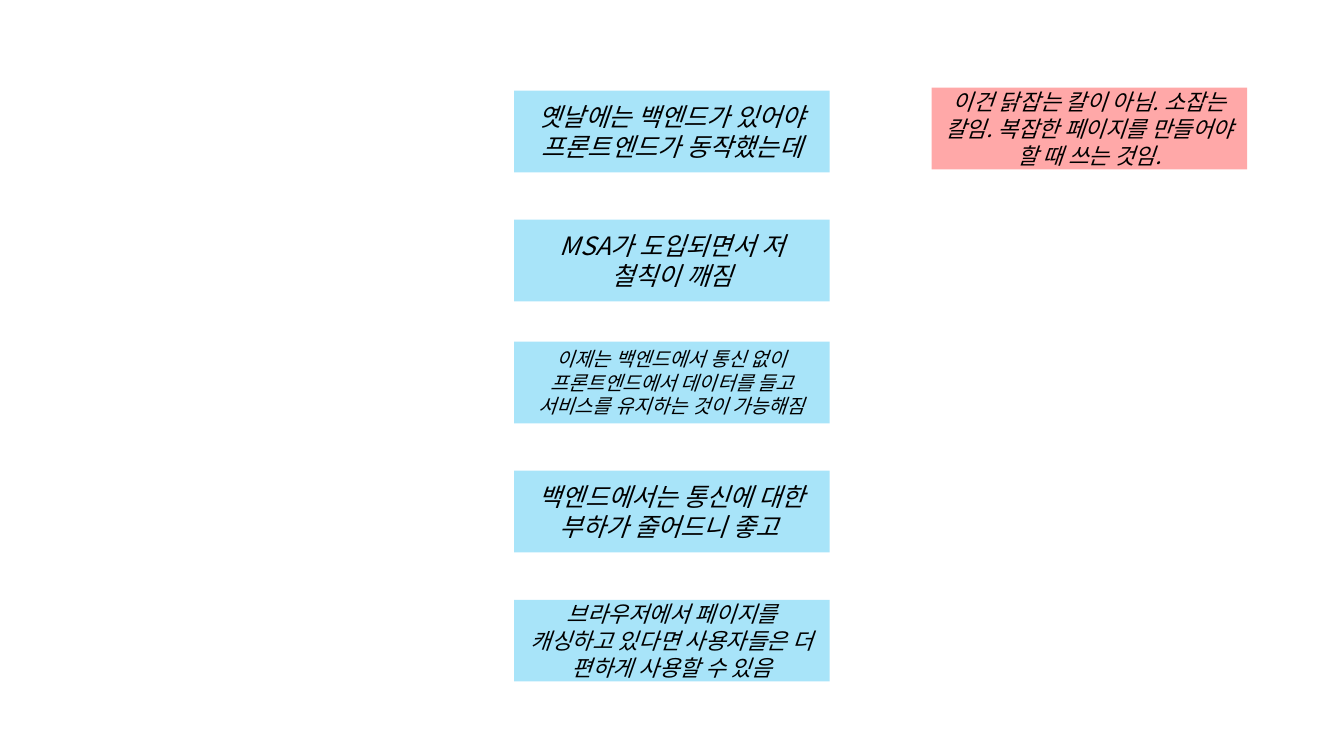
from dataclasses import dataclass

from lxml.etree import SubElement
from pptx import Presentation
from pptx.dml.color import RGBColor
from pptx.enum.shapes import MSO_SHAPE
from pptx.enum.text import MSO_ANCHOR, PP_ALIGN
from pptx.oxml.ns import qn
from pptx.slide import Slide
from pptx.util import Inches, Pt

BLUE = RGBColor(0x00, 0xB0, 0xF0)
RED = RGBColor(0xFF, 0x00, 0x00)
BLACK = RGBColor(0x00, 0x00, 0x00)
FONT_NAME = "Noto Sans CJK KR"
CARD_WIDTH = Inches(3.13)
CARD_HEIGHT = Inches(0.81)
STORY_LEFT = 5.1
CAUTION_LEFT = 9.24
OPACITY_PERCENT = 34


@dataclass(frozen=True)
class Card:
    top: float
    message: str
    size: int = 18
    left: float = STORY_LEFT
    color: RGBColor = BLUE


CARDS = [
    Card(0.9, "옛날에는 백엔드가 있어야 프론트엔드가 동작했는데"),
    Card(2.18, "MSA가 도입되면서 저 철칙이 깨짐"),
    Card(
        3.39,
        "이제는 백엔드에서 통신 없이 프론트엔드에서 데이터를 들고 "
        "서비스를 유지하는 것이 가능해짐",
        size=14,
    ),
    Card(4.67, "백엔드에서는 통신에 대한 부하가 줄어드니 좋고 "),
    Card(
        5.95,
        "브라우저에서 페이지를 캐싱하고 있다면 사용자들은 더 편하게 사용할 수 있음",
        size=16,
    ),
    Card(
        0.87,
        "이건 닭잡는 칼이 아님. 소잡는 칼임. 복잡한 페이지를 만들어야 할 때 쓰는 것임.",
        size=16,
        left=CAUTION_LEFT,
        color=RED,
    ),
]


def draw_card(slide: Slide, card: Card) -> None:
    box = slide.shapes.add_shape(
        MSO_SHAPE.RECTANGLE,
        Inches(card.left),
        Inches(card.top),
        CARD_WIDTH,
        CARD_HEIGHT,
    )
    box.shadow.inherit = False
    box.line.fill.background()
    box.fill.solid()
    box.fill.fore_color.rgb = card.color
    tint = box._element.spPr.find(qn("a:solidFill"))[0]
    SubElement(tint, qn("a:alpha"), val=str(OPACITY_PERCENT * 1000))

    frame = box.text_frame
    frame.word_wrap = True
    frame.vertical_anchor = MSO_ANCHOR.MIDDLE
    paragraph = frame.paragraphs[0]
    paragraph.alignment = PP_ALIGN.CENTER
    message = paragraph.add_run()
    message.text = card.message
    text_format = {"name": FONT_NAME, "size": Pt(card.size), "italic": True}
    for attribute, value in text_format.items():
        setattr(message.font, attribute, value)
    message.font.color.rgb = BLACK
    SubElement(message._r.get_or_add_rPr(), qn("a:ea"), typeface=FONT_NAME)


def main() -> None:
    presentation = Presentation()
    presentation.slide_width = Inches(13.33)
    presentation.slide_height = Inches(7.5)
    slide = presentation.slides.add_slide(presentation.slide_layouts[6])
    for card in CARDS:
        draw_card(slide, card)
    presentation.save("out.pptx")


if __name__ == "__main__":
    main()
